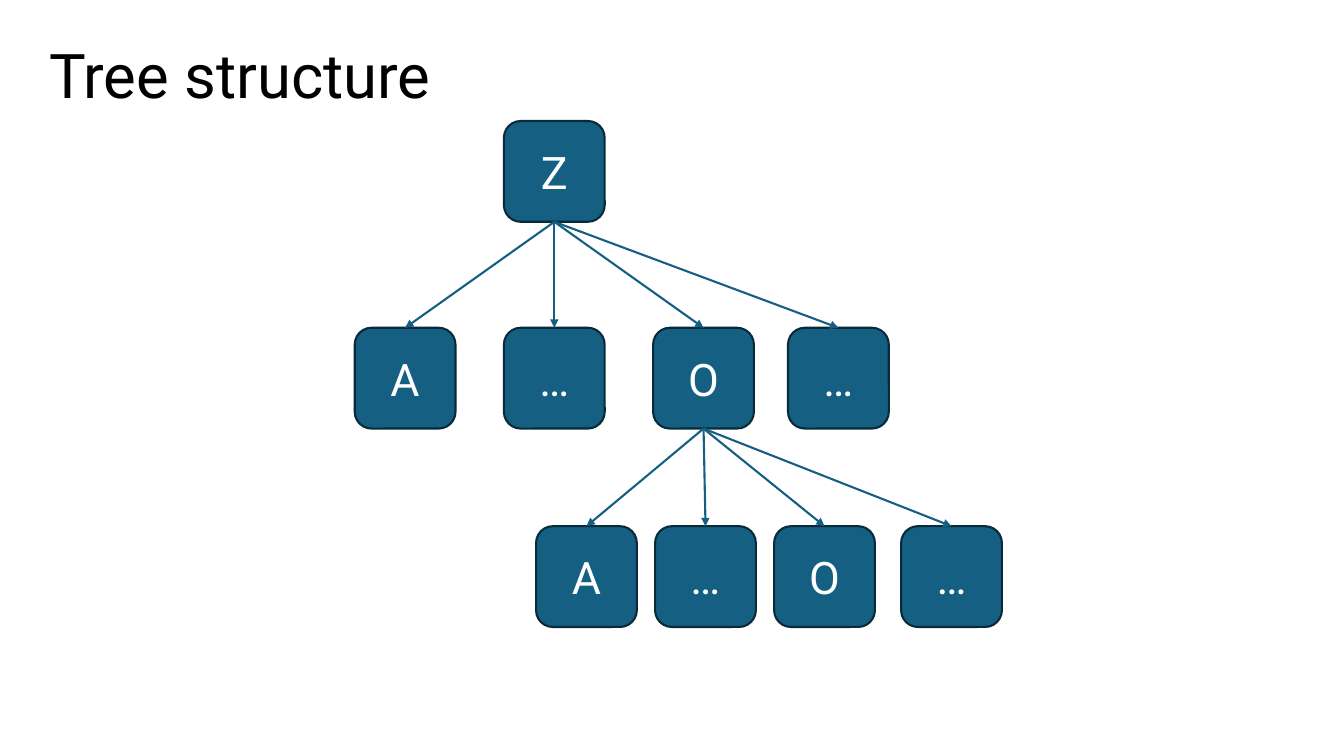
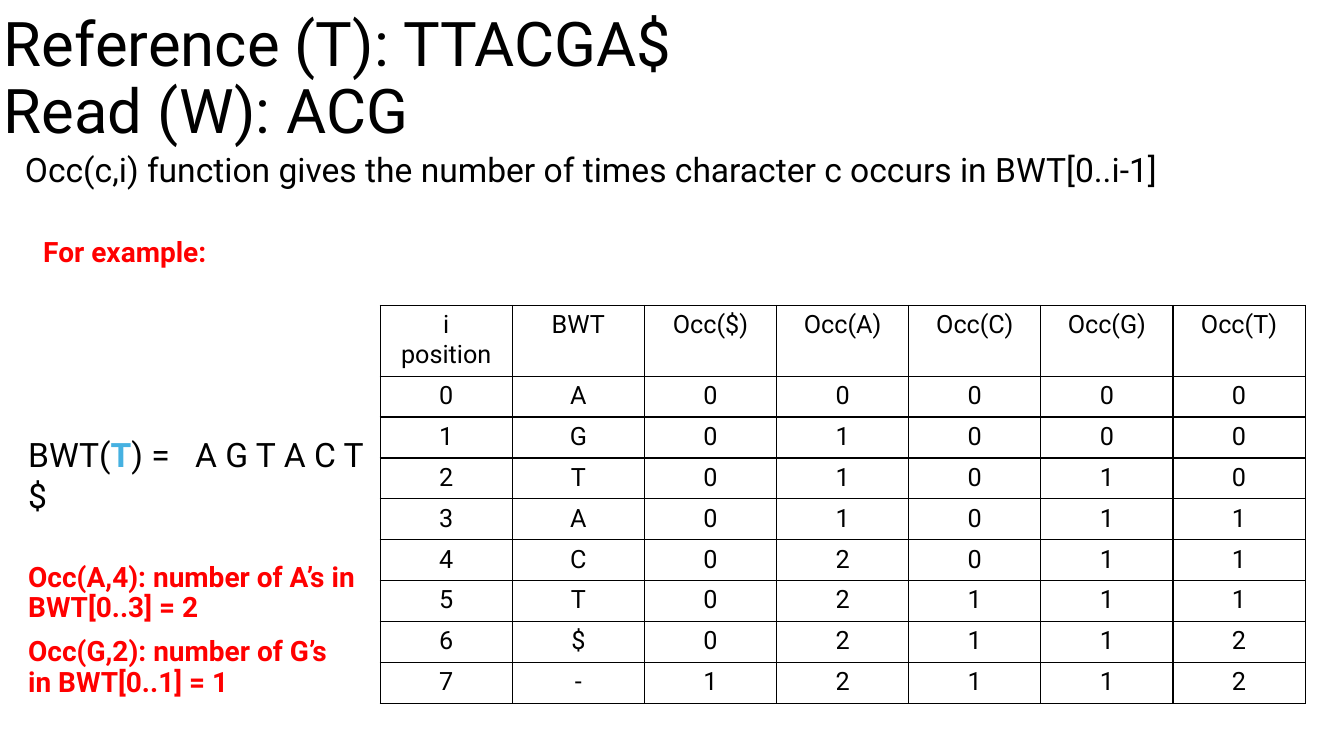
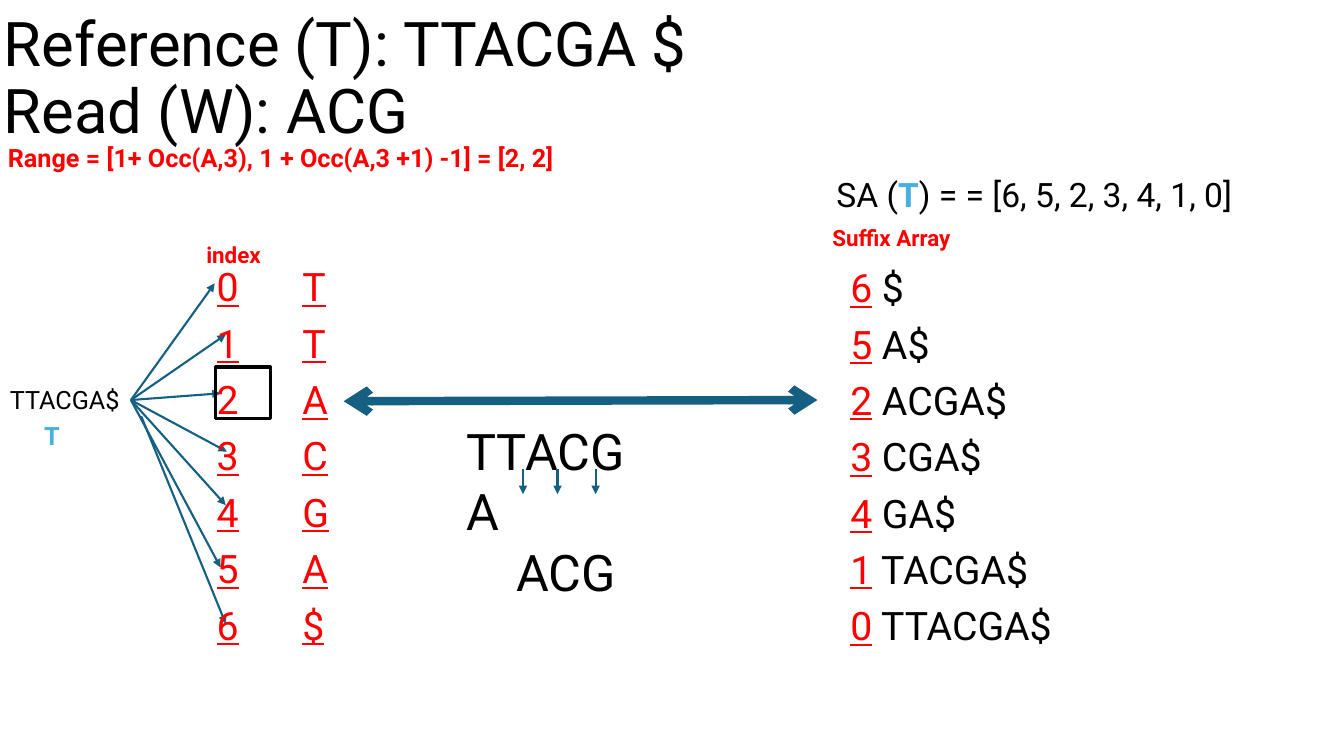
import pptx
import pptx.util
import pptx.dml.color
import pptx.enum.shapes
import pptx.enum.text
import pptx.oxml.ns
from lxml import etree

Cm = pptx.util.Cm
Pt = pptx.util.Pt
qn = pptx.oxml.ns.qn
rgb = pptx.dml.color.RGBColor.from_string
CENTER = pptx.enum.text.PP_ALIGN.CENTER
MIDDLE = pptx.enum.text.MSO_ANCHOR.MIDDLE

FONT = "Roboto"
BLACK, WHITE, RED = "000000", "FFFFFF", "FF0000"
TEAL, DARK_TEAL, SKY = "156082", "092A39", "46B1E1"
BODY = {"line_spacing": 0.9, "space_before": Pt(10)}
RED_NOTE = {"color": RED, "bold": True, "layout": BODY}
BLUE_T = ("T", {"color": SKY, "bold": True})
RED_KEY = {"color": RED, "underline": True}


def text(s, x, y, w, h, paras, size, color=BLACK, bold=False, layout={}):
    """Add a text box; a paragraph is a list of strings or (string, font changes)."""
    tf = s.shapes.add_textbox(Cm(x), Cm(y), Cm(w), Cm(h)).text_frame
    tf.word_wrap = True
    for i, runs in enumerate(paras):
        p = tf.add_paragraph() if i else tf.paragraphs[0]
        for name, value in layout.items():
            if i or name != "space_before":
                setattr(p, name, value)
        for run in runs:
            if run == "\n":
                p.add_line_break()
                continue
            words, changes = (run, {}) if isinstance(run, str) else run
            fmt = {"name": FONT, "size": Pt(size), "bold": bold, "color": color} | changes
            r = p.add_run()
            r.text = words
            r.font.color.rgb = rgb(fmt.pop("color"))
            for name, value in fmt.items():
                setattr(r.font, name, value)
    return tf


def arrow(s, x1, y1, x2, y2, width=1.5, **ends):
    """Add a line with a triangle at its end, or with the given headEnd and tailEnd."""
    c = s.shapes.add_connector(pptx.enum.shapes.MSO_CONNECTOR.STRAIGHT,
                               Cm(x1), Cm(y1), Cm(x2), Cm(y2))
    c.line.color.rgb = rgb(TEAL)
    c.line.width = Pt(width)
    spPr = c._element.spPr
    for tag, kind in (ends or {"tailEnd": "triangle"}).items():
        etree.SubElement(spPr.find(qn("a:ln")), qn("a:" + tag), type=kind)
    etree.SubElement(spPr, qn("a:effectLst"))
    return c


prs = pptx.Presentation()
prs.slide_width, prs.slide_height = Cm(33.87), Cm(19.05)

# Slides and titles
slides = []
for x, y, lines in [
    (0.99, 0.15, ["Tree structure"]),
    (-0.15, 0.18, ["Reference (T): TTACGA$", "\n", "Read (W): ACG"]),
    (-0.15, 0.18, ["Reference (T): TTACGA $", "\n", "Read (W): ACG"]),
]:
    s = prs.slides.add_slide(prs.slide_layouts[6])
    tf = text(s, x, y, 29.21, 3.68, [lines], 44, layout={"line_spacing": 0.9})
    tf.vertical_anchor = MIDDLE
    slides.append(s)
tree_slide, occ_slide, range_slide = slides

# Tree: each level hangs from the "O" node of the level above
s = tree_slide
parent = None
for y, level in [
    (3.05, [("Z", 12.7)]),
    (8.26, [("A", 8.94), ("…", 12.7), ("O", 16.46), ("…", 19.86)]),
    (13.26, [("A", 13.51), ("…", 16.51), ("O", 19.51), ("…", 22.71)]),
]:
    nodes = []
    for label, x in level:
        sp = s.shapes.add_shape(pptx.enum.shapes.MSO_SHAPE.ROUNDED_RECTANGLE,
                                Cm(x), Cm(y), Cm(2.54), Cm(2.54))
        sp.shadow.inherit = False
        sp.fill.solid()
        sp.fill.fore_color.rgb = rgb(TEAL)
        sp.line.color.rgb = rgb(DARK_TEAL)
        sp.line.width = Pt(1.5)
        sp.text_frame.vertical_anchor = MIDDLE
        p = sp.text_frame.paragraphs[0]
        p.alignment = CENTER
        r = p.add_run()
        r.text = label
        r.font.name, r.font.size = FONT, Pt(32)
        r.font.color.rgb = rgb(WHITE)
        nodes.append(sp)
    if parent is not None:
        for node in nodes:
            c = arrow(s, 0, 0, 1, 1)
            c.begin_connect(parent, 2)
            c.end_connect(node, 0)
    parent = nodes[min(2, len(nodes) - 1)]

# Occurrence table
s = occ_slide
text(s, 0.84, 5.89, 8.76, 1.2, [["For example:"]], 20, **RED_NOTE)
text(s, 0.38, 3.63, 32.28, 1.27,
     [["Occ(c,i) function gives the number of times character c occurs in BWT[0..i-1]"]], 24)

bwt = "AGTACT$"
letters = "$ACGT"
rows = [["i\nposition", "BWT"] + [f"Occ({c})" for c in letters]]
for i, letter in enumerate(bwt + "-"):
    rows.append([str(i), letter] + [str(bwt[:i].count(c)) for c in letters])

table = s.shapes.add_table(len(rows), len(rows[0]), Cm(9.58), Cm(7.7),
                           Cm(23.31), Cm(10.02)).table
table.first_row = table.horz_banding = False
for col in table.columns:
    col.width = Cm(3.33)
for i, values in enumerate(rows):
    table.rows[i].height = Cm(1.03 if i else 1.78)
    for j, value in enumerate(values):
        cell = table.cell(i, j)
        cell.text = value
        cell.fill.background()
        for p in cell.text_frame.paragraphs:
            p.alignment = CENTER
            font = p.runs[0].font
            font.name, font.size = FONT, Pt(18)
            font.color.rgb = rgb(BLACK)
        tcPr = cell._tc.get_or_add_tcPr()
        for k, side in enumerate(["lnL", "lnR", "lnT", "lnB"]):
            ln = etree.Element(qn("a:" + side), w=str(Pt(1)))
            fill = etree.SubElement(ln, qn("a:solidFill"))
            etree.SubElement(fill, qn("a:srgbClr"), val=BLACK)
            tcPr.insert(k, ln)

tf = text(s, 0.46, 10.82, 9.4, 1.27, [["BWT(", BLUE_T, ") =\tA G T A C T $"]], 24)
tabs = etree.SubElement(tf.paragraphs[0]._p.get_or_add_pPr(), qn("a:tabLst"))
etree.SubElement(tabs, qn("a:tab"), pos=str(Cm(4.21)), algn="l")
text(s, 0.46, 14.07, 8.76, 3.8,
     [["Occ(A,4): number of A’s in BWT[0..3] = 2"],
      ["Occ(G,2): number of G’s in BWT[0..1] = 1"]], 20, **RED_NOTE)

# Range in the suffix array
s = range_slide
reference = "TTACGA$"
text(s, -0.05, 3.56, 15.32, 1.19,
     [["Range = [1+ Occ(A,3), 1 + Occ(A,3 +1) -1] = [2, 2]"]], 18, **RED_NOTE)
text(s, 0, 9.55, 3.3, 1.02, [[reference]], 18)
for x, y in [(5.41, 7.14), (5.69, 8.43), (5.56, 9.91), (5.72, 11.38),
             (5.69, 12.73), (5.56, 14.3)]:
    arrow(s, 3.3, 10.08, x, y)
arrow(s, 3.56, 10.49, 5.69, 15.72)
text(s, 0.86, 10.46, 1.04, 1.02, [[BLUE_T]], 18)
arrow(s, 8.66, 10.11, 20.6, 10.08, 6, headEnd="arrow", tailEnd="arrow")

suffix_array = sorted(range(len(reference)), key=lambda i: reference[i:])
text(s, 21.18, 6.65, 7.32, 12.09,
     [[(str(i), RED_KEY), " " + reference[i:]] for i in suffix_array], 28, layout=BODY)
text(s, 20.83, 4.27, 10.92, 1.27, [["SA (", BLUE_T, f") = = {suffix_array}"]], 24)
text(s, 20.73, 5.61, 7.32, 1.02, [["Suffix Array"]], 16, **RED_NOTE)

text(s, 4.95, 6.02, 1.93, 1.02, [["index"]], 16, **RED_NOTE)
for x, w, column in [(5.21, 1.52, range(len(reference))), (7.37, 7.32, reference)]:
    text(s, x, 6.63, w, 12.09, [[(str(item), RED_KEY)] for item in column], 28, layout=BODY)

frame = s.shapes.add_shape(pptx.enum.shapes.MSO_SHAPE.RECTANGLE,
                           Cm(5.44), Cm(9.25), Cm(1.37), Cm(1.3))
frame.shadow.inherit = False
frame.fill.background()
frame.line.color.rgb = rgb(BLACK)
frame.line.width = Pt(2.25)

tf = text(s, 11.51, 10.46, 5.1, 3.33, [["TTACGA"], ["ACG"]], 36)
tf.paragraphs[1]._p.get_or_add_pPr().set("marL", str(Cm(1.25)))
for x in (13.18, 14.05, 15.01):
    arrow(s, x, 11.81, x, 12.45)

prs.save("out.pptx")
